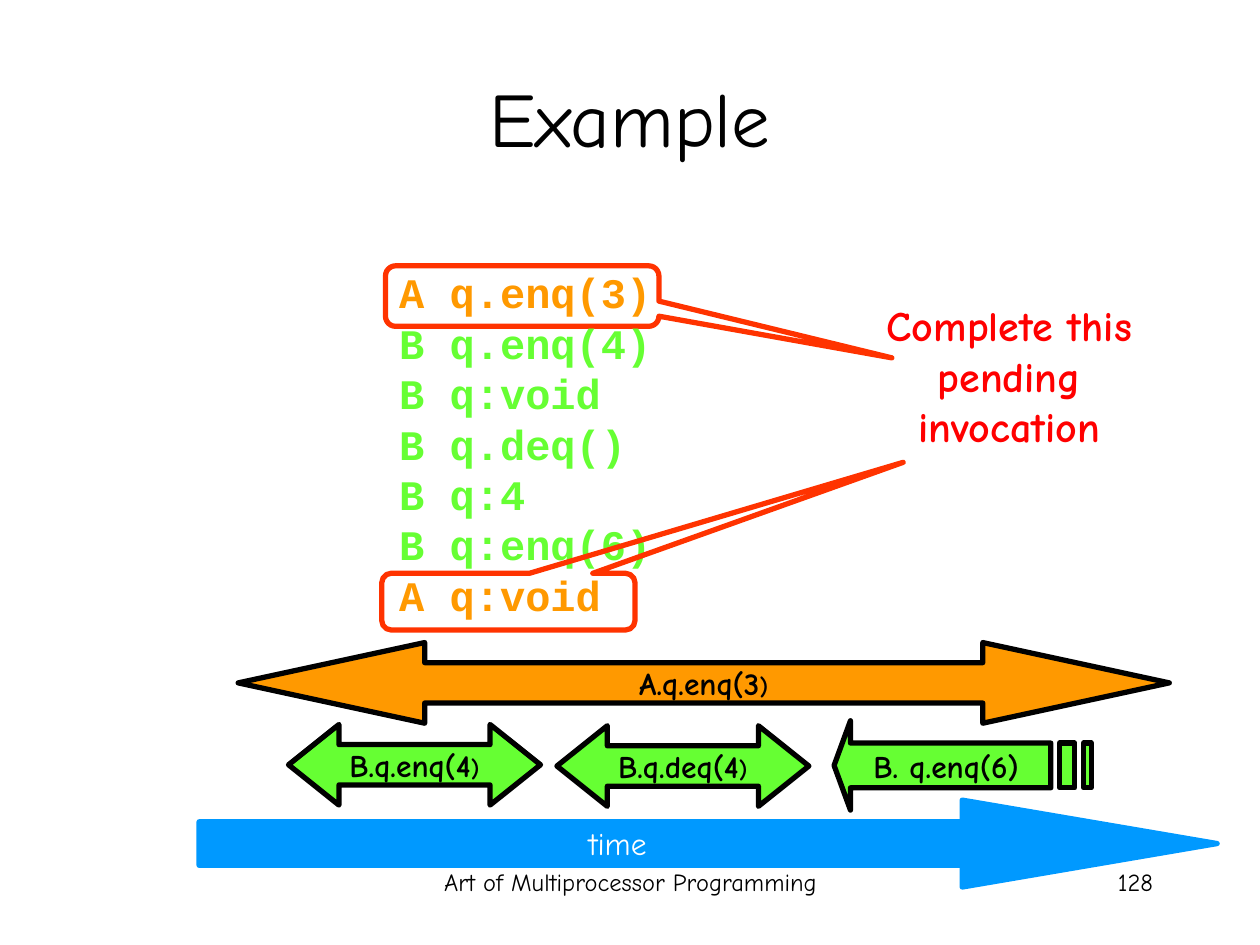
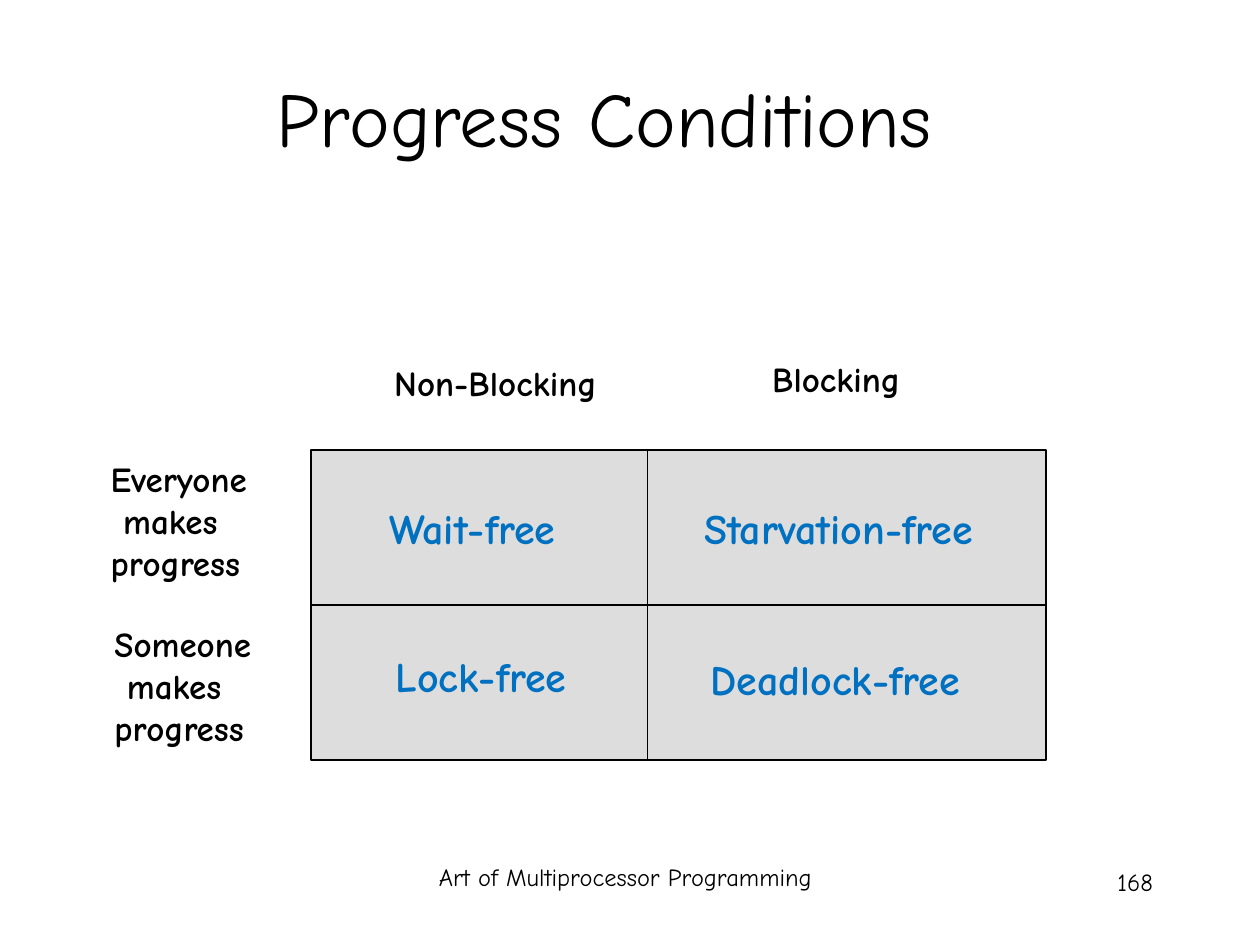
import dataclasses

import pptx
import pptx.dml.color
import pptx.enum.shapes
import pptx.enum.text
import pptx.oxml
import pptx.oxml.ns
import pptx.util

Inches = pptx.util.Inches
Pt = pptx.util.Pt
SHAPE = pptx.enum.shapes.MSO_SHAPE
ALIGN = pptx.enum.text.PP_ALIGN
ANCHOR = pptx.enum.text.MSO_ANCHOR


@dataclasses.dataclass(frozen=True)
class Theme:
    font: str = "Comic Neue"
    code_font: str = "Courier New"
    black: str = "000000"
    white: str = "FFFFFF"
    thread_a: str = "FF9900"
    thread_b: str = "66FF33"
    callout: str = "FF3300"
    note: str = "FF0000"
    time: str = "0099FF"
    grid: str = "DDDDDD"
    condition: str = "0070C0"
    title: float = 44
    large: float = 24
    heading: float = 20
    label: float = 18
    small: float = 14
    bold_line: float = 3
    thin_line: float = 1


T = Theme()


def rgb(color):
    return pptx.dml.color.RGBColor.from_string(color)


def write(tf, paragraphs, size=T.label, color=T.black, font=T.font, bold=False,
          align=ALIGN.LEFT, anchor=ANCHOR.TOP, wrap=True, spacing=None, indents=()):
    """Fill a frame; a paragraph is a string or a list of (text, overrides) runs."""
    tf.word_wrap = wrap
    tf.vertical_anchor = anchor
    for i, runs in enumerate(paragraphs):
        p = tf.paragraphs[0] if i == 0 else tf.add_paragraph()
        if i < len(indents):
            p._p.get_or_add_pPr().set("marL", str(Inches(indents[i])))
        p.alignment = align
        if spacing:
            p.line_spacing = Pt(spacing)
        for text, own in [(runs, {})] if isinstance(runs, str) else runs:
            r = p.add_run()
            r.text = text
            r.font.name = font
            r.font.size = Pt(own.get("size", size))
            r.font.bold = bold
            r.font.color.rgb = rgb(own.get("color", color))


def add_text(s, box, paragraphs, **fmt):
    sp = s.shapes.add_textbox(*map(Inches, box))
    write(sp.text_frame, paragraphs, **fmt)
    return sp


def paint(sp, fill, line, width):
    sp.shadow.inherit = False
    if fill:
        sp.fill.solid()
        sp.fill.fore_color.rgb = rgb(fill)
    else:
        sp.fill.background()
    sp.line.color.rgb = rgb(line)
    sp.line.width = Pt(width)


def add_shape(s, kind, box, fill, line=T.black, width=T.bold_line, adjust=()):
    sp = s.shapes.add_shape(kind, *map(Inches, box))
    for i, value in enumerate(adjust):
        sp.adjustments[i] = value
    paint(sp, fill, line, width)
    return sp


def add_line(s, x1, y1, x2, y2):
    cn = s.shapes.add_connector(pptx.enum.shapes.MSO_CONNECTOR.STRAIGHT,
                                *map(Inches, (x1, y1, x2, y2)))
    cn.line.color.rgb = rgb(T.black)
    cn.line.width = Pt(T.thin_line)
    cn._element.spPr.append(pptx.oxml.parse_xml(
        f"<a:effectLst {pptx.oxml.ns.nsdecls('a')}/>"))


def add_frame(prs, title, number, title_left=0.5, footer_at=(3.42, 6.83)):
    """Add a blank slide with its title, footer and slide number."""
    s = prs.slides.add_slide(prs.slide_layouts[6])
    add_text(s, (title_left, 0.3, 9, 1.25), [title], size=T.title,
             align=ALIGN.CENTER, anchor=ANCHOR.MIDDLE)
    add_text(s, (*footer_at, 3.17, 0.5), ["Art of Multiprocessor Programming"],
             size=T.small, align=ALIGN.CENTER)
    add_text(s, (7.17, 6.83, 2.08, 0.5), [str(number)], size=T.small, align=ALIGN.RIGHT)
    return s


def add_callout(s, box, tip):
    add_shape(s, SHAPE.ROUNDED_RECTANGULAR_CALLOUT, box, None, T.callout,
              adjust=(*tip, 0.167))


def add_history(s, box):
    calls = ["A q.enq(3)", "B q.enq(4)", "B q:void", "B q.deq()",
             "B q:4", "B q:enq(6)", "A q:void"]
    colors = {"A": T.thread_a, "B": T.thread_b}
    add_text(s, box, [[(call, {"color": colors[call[0]]})] for call in calls],
             size=T.large, font=T.code_font, bold=True, spacing=28.8)


def add_interval(s, box, call, fill, head):
    sp = add_shape(s, SHAPE.LEFT_RIGHT_ARROW, box, fill, adjust=(0.5, head))
    write(sp.text_frame, [[(call, {}), (")", {"size": T.small})]], bold=True,
          align=ALIGN.CENTER, anchor=ANCHOR.MIDDLE, wrap=False)


def add_pending_interval(s, box, call):
    """Draw a left arrow whose tail breaks up into two stripes."""
    x, y, w, h = box
    head, body_end = x + 0.13, x + 1.72
    top, bottom = y + h / 4, y + h * 3 / 4
    outlines = [[(head, y), (head, top), (body_end, top), (body_end, bottom),
                 (head, bottom), (head, y + h), (x, y + h / 2)]]
    for left, right in ((x + 1.79, x + 1.91), (x + 1.98, x + w)):
        outlines.append([(left, top), (right, top), (right, bottom), (left, bottom)])
    fb = s.shapes.build_freeform(*map(Inches, outlines[0][0]))
    for i, outline in enumerate(outlines):
        points = [(Inches(px), Inches(py)) for px, py in outline]
        if i:
            fb.move_to(*points[0])
        fb.add_line_segments(points[1:], close=True)
    sp = fb.convert_to_shape()
    paint(sp, T.thread_b, T.black, T.bold_line)
    sp.text_frame.margin_right = Inches(0.36)
    write(sp.text_frame, [call], bold=True, align=ALIGN.CENTER,
          anchor=ANCHOR.MIDDLE, wrap=False)


def add_time_arrow(s, box):
    x, y, w, h = box
    add_shape(s, SHAPE.RIGHT_ARROW, box, T.time, T.time, adjust=(0.5, 2.932))
    add_text(s, (x + 2.93, y + 0.14, 0.72, 0.4), ["time"], color=T.white,
             align=ALIGN.RIGHT, wrap=False)


def example_slide(prs):
    s = add_frame(prs, "Example", 128)
    add_callout(s, (3.06, 2.11, 2.17, 0.48), (1.352, 1.022))
    add_text(s, (6.43, 2.33, 3.16, 1.3), ["Complete this pending", "invocation"],
             size=T.large, color=T.note, bold=True, align=ALIGN.CENTER)
    add_time_arrow(s, (1.58, 6.35, 8.08, 0.69))
    add_interval(s, (2.29, 5.75, 2, 0.64), "B.q.enq(4", T.thread_b, 0.626)
    add_interval(s, (4.42, 5.76, 2, 0.64), "B.q.deq(4", T.thread_b, 0.626)
    add_pending_interval(s, (6.62, 5.72, 2.04, 0.71), "B. q.enq(6)")
    add_interval(s, (1.89, 5.1, 7.39, 0.64), "A.q.enq(3", T.thread_a, 2.313)
    add_history(s, (3.07, 2.07, 3.05, 2.9))
    add_callout(s, (3.03, 4.55, 2.01, 0.45), (1.559, -2.458))


def add_condition_grid(s, box):
    x, y, w, h = box
    row, column = y + h / 2, x + 2.67
    add_shape(s, SHAPE.RECTANGLE, box, T.grid, width=T.thin_line)
    add_line(s, x, row, x + w, row)
    add_line(s, column, y + h, column, y)
    conditions = [("Wait-free", 0.52, 0.37, 1.89), ("Lock-free", 0.57, 1.54, 1.82),
                  ("Starvation-free", 3.02, 0.37, 2.79),
                  ("Deadlock-free", 3.07, 1.57, 2.53)]
    for name, dx, dy, width in conditions:
        add_text(s, (x + dx, y + dy, width, 0.5), [name], size=T.large,
                 color=T.condition, bold=True, wrap=False)
    for name, dx, dy, width in (("Non-Blocking", 0.56, -0.75, 1.95),
                                ("Blocking", 3.56, -0.78, 1.26)):
        add_text(s, (x + dx, y + dy, width, 0.43), [name], size=T.heading,
                 bold=True, wrap=False)
    for who, dx, dy in (("Everyone", -1.69, 0.01), ("Someone", -1.66, 1.32)):
        add_text(s, (x + dx, y + dy, 1.4, 1.1), [who, "makes", "progress"],
                 size=T.heading, bold=True, wrap=False, indents=(0, 0.1, 0))


def progress_slide(prs):
    s = add_frame(prs, "Progress Conditions", 168, title_left=0.3, footer_at=(3.38, 6.79))
    add_condition_grid(s, (2.47, 3.57, 5.83, 2.46))


def main():
    prs = pptx.Presentation()
    prs.slide_width, prs.slide_height = Inches(10), Inches(7.5)
    example_slide(prs)
    progress_slide(prs)
    prs.save("out.pptx")


if __name__ == "__main__":
    main()
